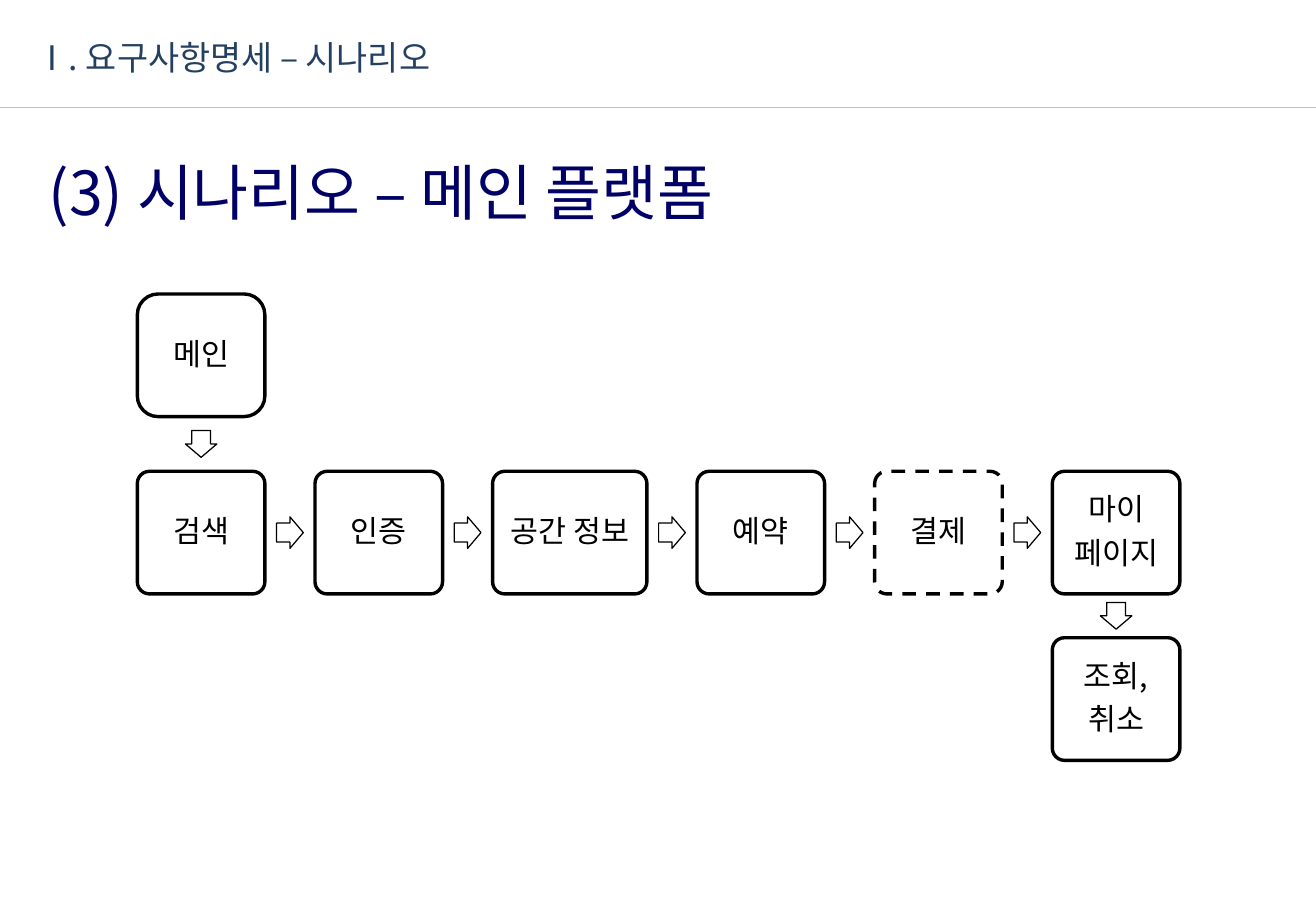
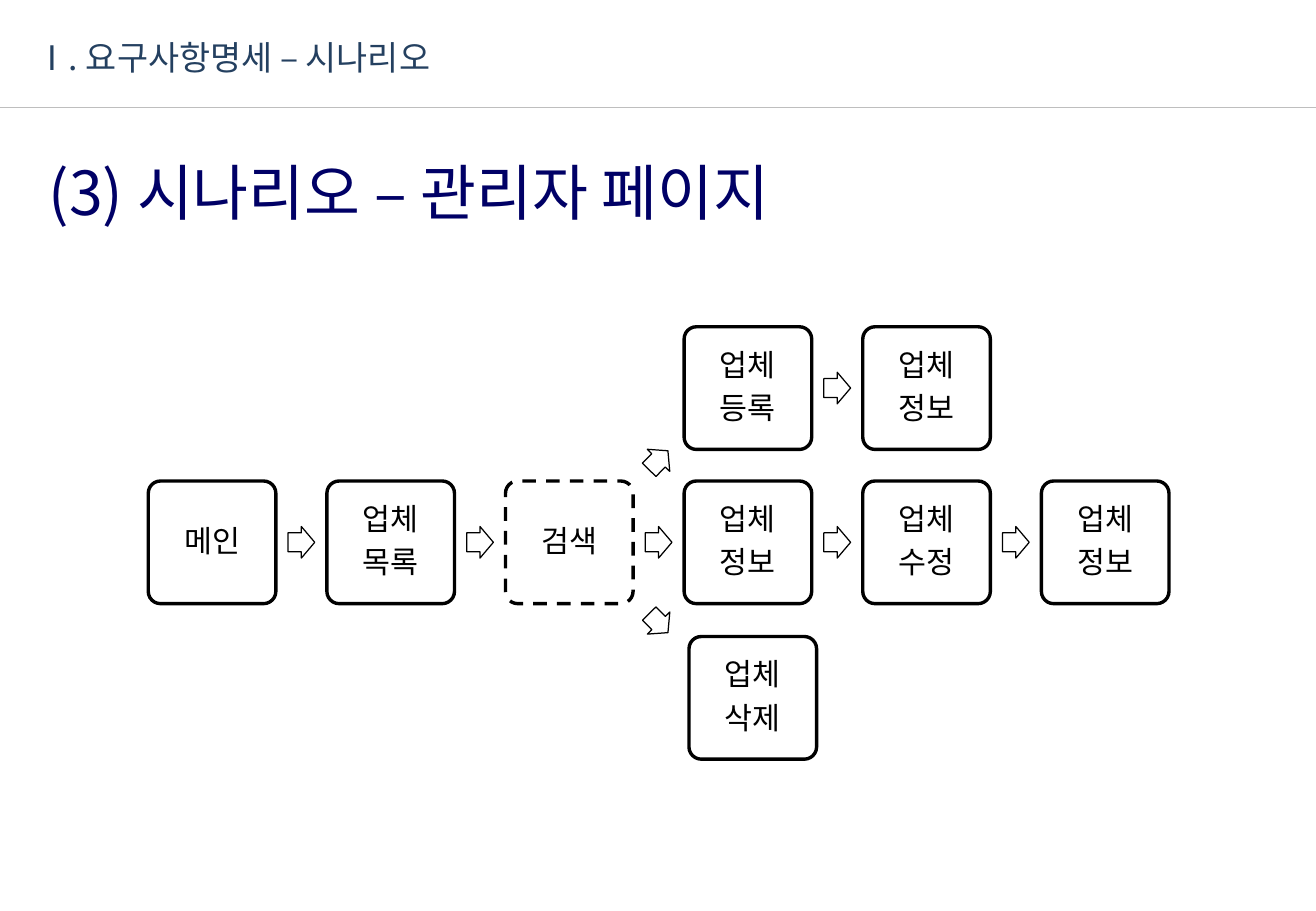
from dataclasses import dataclass

from lxml.etree import SubElement
from pptx import Presentation
from pptx.dml.color import RGBColor
from pptx.enum.dml import MSO_LINE
from pptx.enum.shapes import MSO_CONNECTOR, MSO_SHAPE
from pptx.enum.text import MSO_ANCHOR, MSO_AUTO_SIZE, PP_ALIGN
from pptx.oxml.ns import qn
from pptx.util import Emu, Pt


@dataclass(frozen=True)
class Theme:
    """Colours, type sizes and line widths shared by the slides."""
    font: str = "Noto Sans CJK KR"
    header: RGBColor = RGBColor(0x24, 0x40, 0x60)
    title: RGBColor = RGBColor(0x00, 0x00, 0x66)
    rule: RGBColor = RGBColor(0xBE, 0xBE, 0xBE)
    ink: RGBColor = RGBColor(0x00, 0x00, 0x00)
    paper: RGBColor = RGBColor(0xFF, 0xFF, 0xFF)
    header_size: int = 20
    title_size: int = 36
    box_size: int = 18
    rule_width: float = 0.25
    box_width: float = 2
    arrow_width: float = 0.75


THEME = Theme()
SLIDE_W, SLIDE_H = 1083, 750
BOX_W, BOX_H = 105, 101
ARROW_W, ARROW_H = 22, 26


def px(n):
    """Turn px, a hundredth of an inch each, into EMU."""
    return Emu(round(n * 9144))


def style_text(tf, size, color):
    """Apply the theme font, a size and a colour to every run."""
    for p in tf.paragraphs:
        for r in p.runs:
            r.font.name = THEME.font
            r.font.size = Pt(size)
            r.font.color.rgb = color
            SubElement(r.font._element, qn("a:ea"), typeface=THEME.font)


def add_text(s, text, left, top, width, height, size, color, inset=1):
    """Add a one-line heading that grows with its text."""
    tf = s.shapes.add_textbox(px(left), px(top), px(width), px(height)).text_frame
    tf.word_wrap = True
    tf.auto_size = MSO_AUTO_SIZE.SHAPE_TO_FIT_TEXT
    tf.margin_left, tf.margin_top = px(inset), px(2)
    tf.margin_right = tf.margin_bottom = 0
    tf.text = text
    style_text(tf, size, color)


def add_outlined(s, kind, left, top, width, height, line_width):
    """Add a white shape with a black outline."""
    sp = s.shapes.add_shape(kind, px(left), px(top), px(width), px(height))
    sp.shadow.inherit = False
    sp.fill.solid()
    sp.fill.fore_color.rgb = THEME.paper
    sp.line.color.rgb = THEME.ink
    sp.line.width = Pt(line_width)
    return sp


def add_box(s, text, left, top, width=BOX_W, dashed=False, corner=0.1):
    """Add a rounded step box with centred text."""
    sp = add_outlined(s, MSO_SHAPE.ROUNDED_RECTANGLE, left, top, width, BOX_H, THEME.box_width)
    sp.adjustments[0] = corner
    if dashed:
        sp.line.dash_style = MSO_LINE.DASH
    tf = sp.text_frame
    tf.word_wrap = True
    tf.vertical_anchor = MSO_ANCHOR.MIDDLE
    tf.margin_left = tf.margin_right = tf.margin_top = tf.margin_bottom = px(7)
    tf.text = text
    for p in tf.paragraphs:
        p.alignment = PP_ALIGN.CENTER
        p.line_spacing = 0.9
        p.space_after = Pt(6.3)
    style_text(tf, THEME.box_size, THEME.ink)


def add_arrow(s, center_x, center_y, rotation=0):
    """Add a small block arrow around a centre point."""
    sp = add_outlined(s, MSO_SHAPE.RIGHT_ARROW, center_x - ARROW_W / 2, center_y - ARROW_H / 2,
                      ARROW_W, ARROW_H, THEME.arrow_width)
    sp.adjustments[0], sp.adjustments[1] = 0.6, 0.5
    sp.rotation = rotation


def add_row(s, steps, left, top, gap):
    """Add boxes from left to right with an arrow in every gap."""
    for i, (text, width, dashed) in enumerate(steps):
        if i:
            add_arrow(s, left - gap / 2, top + BOX_H / 2)
        add_box(s, text, left, top, width, dashed)
        left += width + gap


def step(text, width=BOX_W, dashed=False):
    """Describe one box of a row."""
    return text, width, dashed


def add_slide(prs, title):
    """Add a blank slide with the shared header, rule and title."""
    s = prs.slides.add_slide(prs.slide_layouts[6])
    rule = s.shapes.add_connector(MSO_CONNECTOR.STRAIGHT, 0, px(88), px(SLIDE_W), px(88))
    rule.line.color.rgb = THEME.rule
    rule.line.width = Pt(THEME.rule_width)
    SubElement(rule._element.spPr, qn("a:effectLst"))
    add_text(s, "Ⅰ. 요구사항명세 – 시나리오", 28, 28, 547, 35, THEME.header_size, THEME.header)
    add_text(s, title, 28, 125, 808, 62, THEME.title_size, THEME.title, inset=12)
    return s


def add_platform_slide(prs):
    """Build the main platform scenario."""
    s = add_slide(prs, "(3) 시나리오 – 메인 플랫폼")
    left, last, top = 113, 866, 388
    main_top, detail_top = 242, 525
    add_box(s, "메인", left, main_top, corner=0.17)
    add_arrow(s, left + BOX_W / 2, (main_top + BOX_H + top) / 2, 90)
    steps = [step("검색"), step("인증"), step("공간 정보", 127), step("예약"),
             step("결제", dashed=True), step("마이\n페이지")]
    add_row(s, steps, left, top, 41.2)
    add_arrow(s, last + BOX_W / 2, (top + BOX_H + detail_top) / 2, 90)
    add_box(s, "조회,\n취소", last, detail_top)


def add_admin_slide(prs):
    """Build the administrator page scenario."""
    s = add_slide(prs, "(3) 시나리오 – 관리자 페이지")
    left, gap = 122, 42
    branch = left + 3 * (BOX_W + gap)
    steps = [step("메인"), step("업체\n목록"), step("검색", dashed=True),
             step("업체\n정보"), step("업체\n수정"), step("업체\n정보")]
    add_row(s, [step("업체\n등록"), step("업체\n정보")], branch, 269, gap)
    add_row(s, steps, left, 396, gap)
    add_box(s, "업체\n삭제", branch + 4, 524)
    for center_y, rotation in ((379, -45.5), (513, 45.5)):
        add_arrow(s, branch - gap / 2, center_y, rotation)


def main():
    """Build and save the presentation."""
    prs = Presentation()
    prs.slide_width, prs.slide_height = px(SLIDE_W), px(SLIDE_H)
    add_platform_slide(prs)
    add_admin_slide(prs)
    prs.save("out.pptx")


if __name__ == "__main__":
    main()
